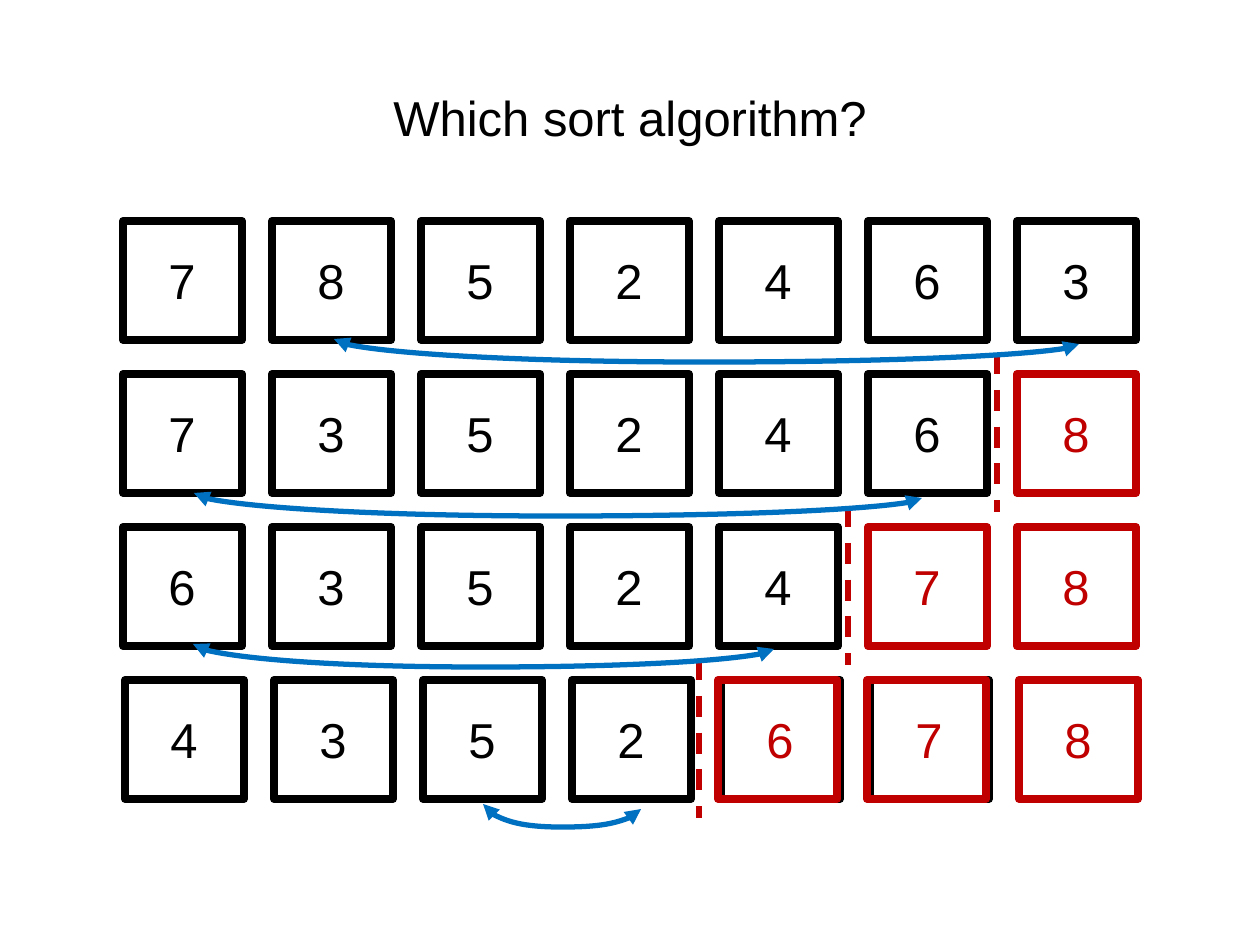
"""Build a slide that shows four passes of a sorting algorithm."""
from dataclasses import dataclass

from lxml.etree import SubElement
from pptx import Presentation
from pptx.dml.color import RGBColor
from pptx.enum.dml import MSO_LINE
from pptx.enum.shapes import MSO_CONNECTOR, MSO_SHAPE
from pptx.enum.text import MSO_ANCHOR, MSO_AUTO_SIZE, PP_ALIGN
from pptx.oxml.ns import qn
from pptx.shapes.connector import Connector
from pptx.shapes.group import GroupShape
from pptx.shapes.shapetree import SlideShapes
from pptx.text.text import TextFrame
from pptx.util import Emu, Pt

EMU_PER_PX = 914400 / 126
BLACK = RGBColor(0x00, 0x00, 0x00)
RED = RGBColor(0xC0, 0x00, 0x00)
BLUE = RGBColor(0x00, 0x70, 0xC0)

CELL_SIZE = 119
COLUMN_PITCH = 149
FIRST_TOP = 221
ROW_PITCH = 153
DIGIT_DX, DIGIT_DY, DIGIT_WIDTH, DIGIT_HEIGHT = 33, 23, 53, 72
DIVIDER_GAP, DIVIDER_RISE, DIVIDER_LENGTH = 20, 21, 159
SWAP_DROP, SWAP_DEPTH = 5, 23
OVERLAY_SHIFT = 3


@dataclass(frozen=True)
class Pass:
    values: str
    sorted_from: int
    left: int = 123
    overlaid: tuple[int, ...] = ()


@dataclass(frozen=True)
class Swap:
    start_x: int
    end_x: int
    top: int


PASSES = (
    Pass("7852463", 7),
    Pass("7352468", 6),
    Pass("6352478", 5),
    Pass("4352678", 4, left=125, overlaid=(4, 5)),
)
SWAPS = (
    Swap(334, 1079, 339),
    Swap(194, 922, 493),
    Swap(193, 774, 644),
    Swap(483, 641, 804),
)


def px(length: float) -> Emu:
    return Emu(round(length * EMU_PER_PX))


def format_text(frame: TextFrame, color: RGBColor) -> None:
    for run in frame.paragraphs[0].runs:
        run.font.name = "Arial"
        run.font.size = Pt(28)
        run.font.color.rgb = color


def draw_cell(row: GroupShape, left: int, top: int, color: RGBColor) -> None:
    cell = row.shapes.add_shape(
        MSO_SHAPE.RECTANGLE, px(left), px(top), px(CELL_SIZE), px(CELL_SIZE))
    cell.shadow.inherit = False
    cell.fill.background()
    cell.line.color.rgb = color
    cell.line.width = Pt(4.5)


def draw_digit(row: GroupShape, digit: str, left: int, top: int, color: RGBColor) -> None:
    label = row.shapes.add_textbox(
        px(left + DIGIT_DX), px(top + DIGIT_DY), px(DIGIT_WIDTH), px(DIGIT_HEIGHT))
    frame = label.text_frame
    frame.word_wrap = False
    frame.auto_size = MSO_AUTO_SIZE.SHAPE_TO_FIT_TEXT
    frame.text = digit
    format_text(frame, color)


def draw_pass(shapes: SlideShapes, step: Pass, top: int) -> None:
    row = shapes.add_group_shape()
    lefts = [step.left + column * COLUMN_PITCH for column in range(len(step.values))]
    colors = [RED if column >= step.sorted_from else BLACK
              for column in range(len(step.values))]
    for column, (left, color) in enumerate(zip(lefts, colors)):
        draw_cell(row, left, top, BLACK if column in step.overlaid else color)
    for column in step.overlaid:
        draw_cell(row, lefts[column] - OVERLAY_SHIFT, top, RED)
    for digit, left, color in zip(step.values, lefts, colors):
        draw_digit(row, digit, left, top, color)


def style_connector(connector: Connector, color: RGBColor) -> None:
    connector.line.color.rgb = color
    connector.line.width = Pt(3)
    SubElement(connector._element.spPr, qn("a:effectLst"))


def draw_divider(shapes: SlideShapes, sorted_from: int, row_top: int) -> None:
    x = px(PASSES[0].left + sorted_from * COLUMN_PITCH - DIVIDER_GAP)
    top = row_top - DIVIDER_RISE
    divider = shapes.add_connector(
        MSO_CONNECTOR.STRAIGHT, x, px(top), x, px(top + DIVIDER_LENGTH))
    style_connector(divider, RED)
    divider.line.dash_style = MSO_LINE.DASH


def draw_swap(shapes: SlideShapes, swap: Swap) -> None:
    span = swap.end_x - swap.start_x
    left = (swap.start_x + swap.end_x - SWAP_DROP) / 2
    top = swap.top + (SWAP_DROP - span) / 2
    arrow = shapes.add_connector(
        MSO_CONNECTOR.CURVE, px(left), px(top), px(left + SWAP_DROP), px(top + span))
    style_connector(arrow, BLUE)
    properties = arrow._element.spPr
    transform = properties.find(qn("a:xfrm"))
    transform.set("rot", str(270 * 60000))
    transform.set("flipH", "1")
    guides = properties.find(qn("a:prstGeom")).find(qn("a:avLst"))
    bend = round(SWAP_DEPTH / SWAP_DROP * 100000)
    SubElement(guides, qn("a:gd"), name="adj1", fmla=f"val {bend}")
    outline = properties.find(qn("a:ln"))
    for end in ("a:headEnd", "a:tailEnd"):
        SubElement(outline, qn(end), type="triangle")


def main() -> None:
    presentation = Presentation()
    presentation.slide_width, presentation.slide_height = px(1260), px(945)
    slide = presentation.slides.add_slide(presentation.slide_layouts[5])
    shapes = slide.shapes

    title = shapes.title
    title.left, title.top, title.width, title.height = px(63), px(38), px(1134), px(158)
    title.text_frame.text = "Which sort algorithm?"
    title.text_frame.vertical_anchor = MSO_ANCHOR.MIDDLE
    title.text_frame.paragraphs[0].alignment = PP_ALIGN.CENTER
    format_text(title.text_frame, BLACK)

    tops = [FIRST_TOP + index * ROW_PITCH for index in range(len(PASSES))]
    for step, top in zip(PASSES, tops):
        draw_pass(shapes, step, top)
    for step, top in zip(PASSES[1:], tops[1:]):
        draw_divider(shapes, step.sorted_from, top)
    for swap in SWAPS:
        draw_swap(shapes, swap)

    presentation.save("out.pptx")


if __name__ == "__main__":
    main()
